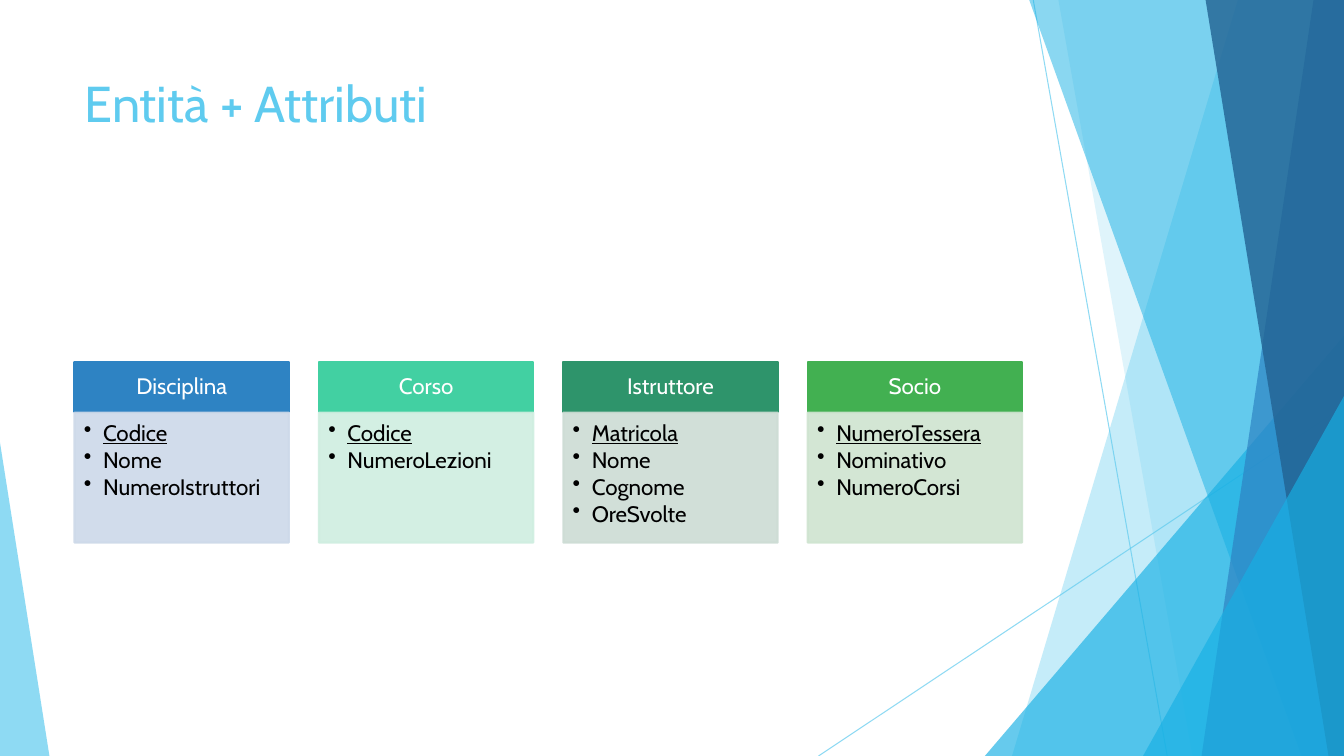
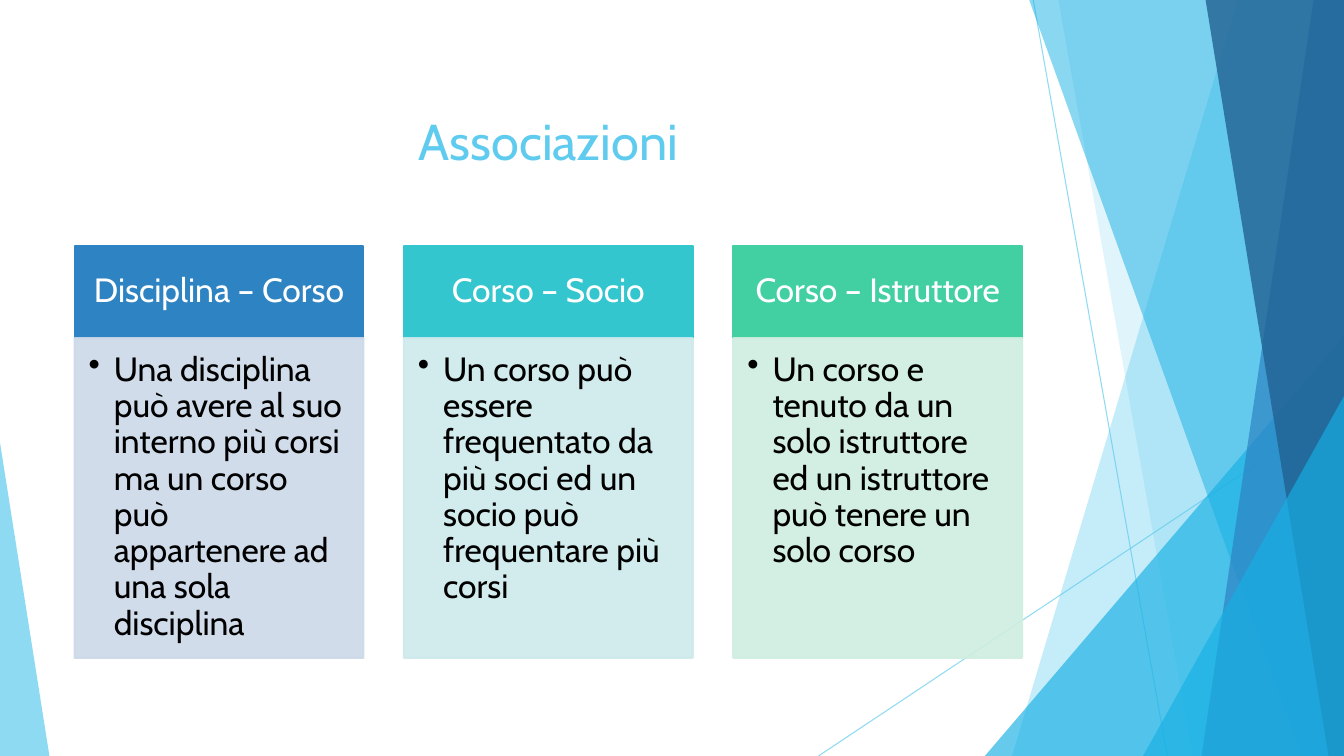
from dataclasses import dataclass

from lxml.etree import SubElement
from pptx import Presentation
from pptx.dml.color import RGBColor
from pptx.enum.shapes import MSO_CONNECTOR as Connector, MSO_SHAPE as Preset
from pptx.enum.text import MSO_ANCHOR as Anchor, MSO_AUTO_SIZE as AutoSize, PP_ALIGN as Align
from pptx.oxml.ns import qn
from pptx.util import Inches, Pt

WIDTH, HEIGHT = Inches(13.33), Inches(7.5)


@dataclass(frozen=True)
class Theme:
    font: str = "Cabin"
    title_size: int = 36
    sky: str = "5FCBEF"
    azure: str = "17B0E4"
    blue: str = "2E83C3"
    navy: str = "226292"
    turquoise: str = "34C6CE"
    mint: str = "42D0A2"
    pine: str = "2E946B"
    green: str = "42B051"
    white: str = "FFFFFF"
    black: str = "000000"


THEME = Theme()
TINTS = {
    THEME.blue: "CDD9E9",
    THEME.turquoise: "CEE9EC",
    THEME.mint: "CFEEE0",
    THEME.pine: "CDDCD4",
    THEME.green: "CFE4D0",
}


@dataclass(frozen=True)
class Box:
    """A region in percent of the slide's width and height."""
    left: float
    top: float
    width: float
    height: float

    def place(self):
        return across(self.left), down(self.top), across(self.width), down(self.height)

    def columns(self, count, gap_share=0.14):
        """Split into equal columns whose gaps are a share of the column width."""
        width = self.width / (count + (count - 1) * gap_share)
        return [Box(self.left + index * width * (1 + gap_share), self.top, width, self.height)
                for index in range(count)]

    def split(self, head_height):
        head = Box(self.left, self.top, self.width, head_height)
        body = Box(self.left, self.top + head_height, self.width, self.height - head_height)
        return head, body


TITLE_BOX = Box(5.55, 8.93, 70.5, 19.2)


def across(percent):
    return round(WIDTH * percent / 100)


def down(percent):
    return round(HEIGHT * percent / 100)


def set_opacity(shape, percent):
    for colour in shape.element.spPr.iter(qn("a:srgbClr")):
        SubElement(colour, qn("a:alpha"), val=str(percent * 1000))


def paint(shape, colour, opacity=100, line_width=0):
    shape.shadow.inherit = False
    shape.fill.solid()
    shape.fill.fore_color.rgb = RGBColor.from_string(colour)
    if line_width:
        shape.line.color.rgb = RGBColor.from_string(colour)
        shape.line.width = Pt(line_width)
    else:
        shape.line.fill.background()
    if opacity < 100:
        set_opacity(shape, opacity)


def style_runs(para, size, colour, underline=None):
    for span in para.runs:
        span.font.name = THEME.font
        span.font.size = Pt(size)
        span.font.color.rgb = RGBColor.from_string(colour)
        span.font.underline = underline


def add_hairline(page, start, end):
    line = page.shapes.add_connector(Connector.STRAIGHT, across(start[0]), down(start[1]),
                                     across(end[0]), down(end[1]))
    line.line.color.rgb = RGBColor.from_string(THEME.sky)
    line.line.width = Pt(0.75)
    set_opacity(line, 70)
    SubElement(line.element.spPr, qn("a:effectLst"))


def add_slab(page, top_x, bottom_x, colour, opacity):
    """Fill the area from a slanted edge to the right side of the slide."""
    builder = page.shapes.build_freeform(across(top_x), 0)
    builder.add_line_segments([(WIDTH, 0), (WIDTH, HEIGHT), (across(bottom_x), HEIGHT)])
    paint(builder.convert_to_shape(), colour, opacity)


def add_wedge(page, box, apex, colour, opacity):
    wedge = page.shapes.add_shape(Preset.ISOSCELES_TRIANGLE, *box.place())
    wedge.adjustments[0] = apex
    paint(wedge, colour, opacity)


def draw_backdrop(page):
    add_hairline(page, (76.88, 0), (86.85, 100))
    add_hairline(page, (100, 53.73), (60.9, 100))
    add_slab(page, 92.1, 75.3, THEME.sky, 36)
    add_slab(page, 78.75, 88.73, THEME.sky, 20)
    add_wedge(page, Box(73.28, 44.4, 26.72, 55.6), 1, THEME.azure, 66)
    add_slab(page, 76.58, 96.83, THEME.azure, 50)
    add_slab(page, 97.73, 89.4, THEME.blue, 70)
    add_slab(page, 89.7, 98.85, THEME.navy, 80)
    add_wedge(page, Box(85.05, 52.4, 14.95, 47.6), 1, THEME.azure, 66)
    add_wedge(page, Box(0, 58.53, 3.68, 41.47), 0, THEME.sky, 70)


def prepare_layout(page):
    """Draw the backdrop once and keep it on the layout that the slides share."""
    layout = page.slide_layout
    for holder in list(layout.placeholders):
        if holder.placeholder_format.idx:
            holder.element.getparent().remove(holder.element)
    draw_backdrop(page)
    for shape in list(page.shapes):
        if not shape.is_placeholder:
            layout.shapes.element.append(shape.element)


def set_title(page, text, align, anchor):
    title = page.shapes.title
    title.left, title.top, title.width, title.height = TITLE_BOX.place()
    frame = title.text_frame
    frame.text = text
    frame.auto_size = AutoSize.NONE
    frame.vertical_anchor = anchor
    frame.paragraphs[0].alignment = align
    style_runs(frame.paragraphs[0], THEME.title_size, THEME.sky)


def add_panel(page, box, colour, opacity, text, margins):
    panel = page.shapes.add_shape(Preset.RECTANGLE, *box.place())
    paint(panel, colour, opacity, line_width=1.5)
    frame = panel.text_frame
    frame.word_wrap = True
    frame.margin_left, frame.margin_top, frame.margin_right, frame.margin_bottom = map(Inches, margins)
    frame.text = text
    for para in frame.paragraphs:
        para.line_spacing = 0.9
    return frame


def add_bullet(para, indent):
    properties = para._p.get_or_add_pPr()
    properties.set("marL", str(Inches(indent)))
    properties.set("indent", str(-Inches(indent)))
    SubElement(properties, qn("a:buChar"), char="•")


def add_card(page, box, head_height, size, card, first_is_key):
    """Add a coloured heading above a tinted bullet list."""
    heading, lines, colour = card
    head_box, body_box = box.split(head_height)
    side, rim, inner, foot = (size * share for share in (0.0078, 0.0045, 0.0058, 0.0088))

    head = add_panel(page, head_box, colour, 100, heading, (side, rim, side, rim))
    head.vertical_anchor = Anchor.MIDDLE
    head.paragraphs[0].alignment = Align.CENTER
    style_runs(head.paragraphs[0], size, THEME.white)

    body = add_panel(page, body_box, TINTS[colour], 90, "\n".join(lines),
                     (inner, inner, side, foot))
    body.vertical_anchor = Anchor.TOP
    for index, para in enumerate(body.paragraphs):
        add_bullet(para, 0.07 + size * 0.0075)
        para.alignment = Align.LEFT
        para.space_after = Pt(size / 8)
        style_runs(para, size, THEME.black, True if first_is_key and index == 0 else None)


def add_cards(page, box, head_height, size, cards, first_is_key=False):
    for column, card in zip(box.columns(len(cards)), cards):
        add_card(page, column, head_height, size, card, first_is_key)


def fill_entities(page):
    set_title(page, "Entità + Attributi", Align.LEFT, Anchor.TOP)
    cards = [
        ("Disciplina", ["Codice", "Nome", "NumeroIstruttori"], THEME.blue),
        ("Corso", ["Codice", "NumeroLezioni"], THEME.mint),
        ("Istruttore", ["Matricola", "Nome", "Cognome", "OreSvolte"], THEME.pine),
        ("Socio", ["NumeroTessera", "Nominativo", "NumeroCorsi"], THEME.green),
    ]
    box = Box(TITLE_BOX.left, 47.87, TITLE_BOX.width, 23.9)
    add_cards(page, box, 6.7, 16, cards, first_is_key=True)


def fill_associations(page):
    set_title(page, "Associazioni", Align.CENTER, Anchor.MIDDLE)
    cards = [
        ("Disciplina – Corso",
         ["Una disciplina può avere al suo interno più corsi ma un corso può "
          "appartenere ad una sola disciplina"], THEME.blue),
        ("Corso – Socio",
         ["Un corso può essere frequentato da più soci ed un socio può "
          "frequentare più corsi"], THEME.turquoise),
        ("Corso – Istruttore",
         ["Un corso e tenuto da un solo istruttore ed un istruttore può "
          "tenere un solo corso"], THEME.mint),
    ]
    box = Box(TITLE_BOX.left, 32.53, TITLE_BOX.width, 54.5)
    add_cards(page, box, 12.2, 24, cards)


def main():
    deck = Presentation()
    deck.slide_width, deck.slide_height = WIDTH, HEIGHT
    title_only = deck.slide_layouts[5]
    entities, associations = (deck.slides.add_slide(title_only) for _ in range(2))
    prepare_layout(entities)
    fill_entities(entities)
    fill_associations(associations)
    deck.save("out.pptx")


if __name__ == "__main__":
    main()
